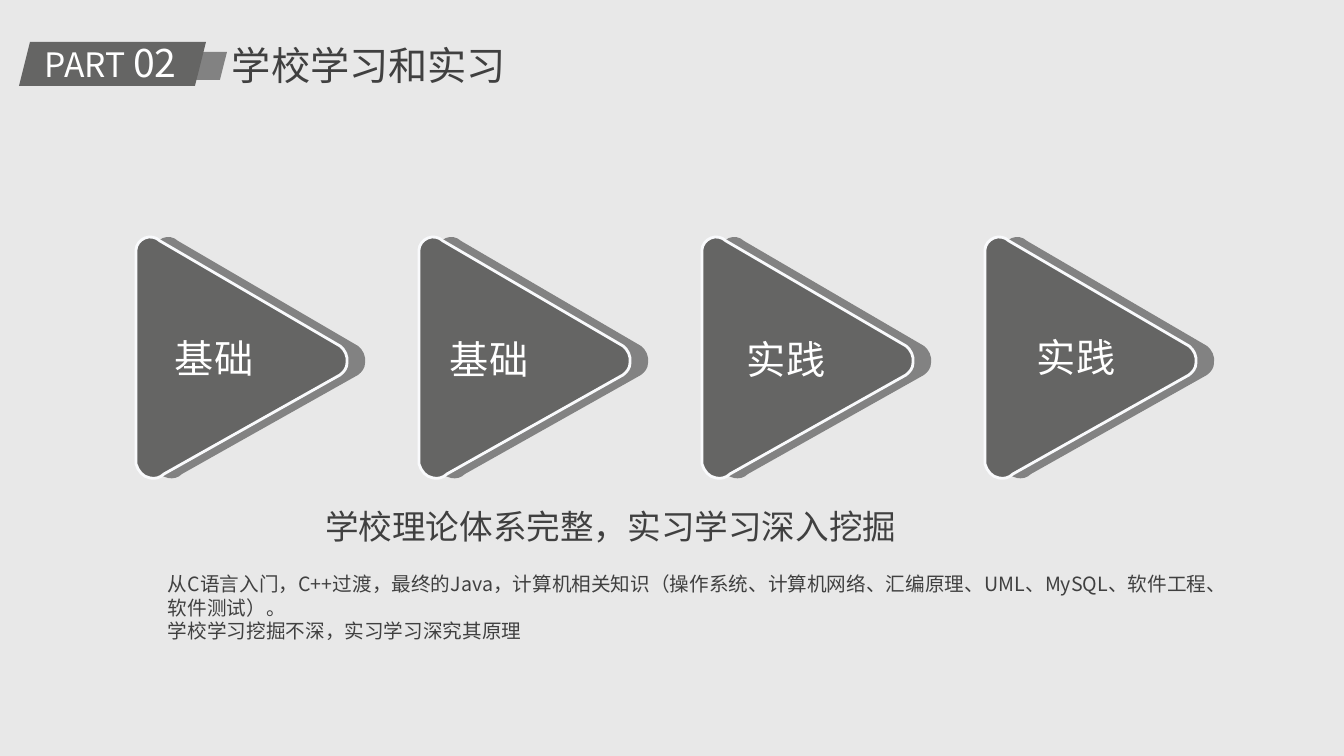
from dataclasses import dataclass

from lxml import etree
from pptx import Presentation
from pptx.dml.color import RGBColor
from pptx.enum.shapes import MSO_SHAPE
from pptx.enum.text import MSO_ANCHOR, MSO_AUTO_SIZE, PP_ALIGN
from pptx.oxml.ns import qn
from pptx.shapes.autoshape import Shape
from pptx.slide import Slide
from pptx.text.text import Font
from pptx.util import Pt

EMU_PER_PX = 914400 / 100.8
PARALLELOGRAM = MSO_SHAPE.PARALLELOGRAM
TOP, MIDDLE = MSO_ANCHOR.TOP, MSO_ANCHOR.MIDDLE
LEFT = PP_ALIGN.LEFT
NO_AUTOFIT = MSO_AUTO_SIZE.NONE

BACKGROUND = RGBColor(0xE8, 0xE8, 0xE8)
DARK_GRAY = RGBColor(0x65, 0x65, 0x64)
MID_GRAY = RGBColor(0x82, 0x82, 0x82)
TEXT_GRAY = RGBColor(0x40, 0x40, 0x40)
OUTLINE = RGBColor(0xF9, 0xFA, 0xFC)
WHITE = RGBColor(0xFF, 0xFF, 0xFF)
SANS = "Noto Sans CJK SC"
LABEL_FONT = "Roboto"

ARROW_LEFT, ARROW_TOP, ARROW_PITCH, SHADOW_OFFSET = 136, 237, 283, 18
ARROW_START = (0, 13)
ARROW_SEGMENTS = (
    ((0, 227),),
    ((2, 234), (7, 240), (14, 241)),
    ((19, 242), (24, 241), (28, 237)),
    ((204, 138),),
    ((208, 135), (211, 131), (211, 126)),
    ((212, 119), (209, 113), (204, 109)),
    ((24, 4),),
    ((20, 0), (14, -1), (9, 1)),
    ((4, 3), (0, 8), (0, 13)),
)


@dataclass(frozen=True)
class Box:
    left: int
    top: int
    width: int
    height: int

    def emu(self) -> tuple[int, ...]:
        return tuple(map(px, (self.left, self.top, self.width, self.height)))


@dataclass(frozen=True)
class TextStyle:
    size: int
    color: RGBColor
    typeface: str = SANS
    anchor: MSO_ANCHOR = TOP
    inset: tuple[int, int] = (10, 5)


@dataclass(frozen=True)
class Step:
    label: str
    label_left: int
    label_top: int


TITLE = TextStyle(28, TEXT_GRAY)
PART = TextStyle(24, WHITE)
SUMMARY = TextStyle(24, TEXT_GRAY)
DETAIL = TextStyle(14, TEXT_GRAY, inset=(0, 0))
STEP_LABEL = TextStyle(28, WHITE, LABEL_FONT, MIDDLE, (0, 0))

STEPS = (
    Step("基础", 175, 334),
    Step("基础", 450, 335),
    Step("实践", 747, 335),
    Step("实践", 1037, 333),
)
DETAILS = (
    "从C语言入门，C++过渡，最终的Java，计算机相关知识（操作系统、计算机网络、汇编原理、"
    "UML、MySQL、软件工程、软件测试）。\v学校学习挖掘不深，实习学习深究其原理"
)


def px(length: int) -> int:
    return round(length * EMU_PER_PX)


def paint(shape: Shape, fill: RGBColor, outlined: bool = False) -> None:
    shape.shadow.inherit = False
    shape.fill.solid()
    shape.fill.fore_color.rgb = fill
    if outlined:
        shape.line.color.rgb = OUTLINE
        shape.line.width = Pt(2)
    else:
        shape.line.fill.background()


def add_arrow(slide: Slide, left: int, fill: RGBColor, outlined: bool = False) -> None:
    corners = [segment[-1] for segment in ARROW_SEGMENTS]
    builder = slide.shapes.build_freeform(*ARROW_START, scale=EMU_PER_PX)
    builder.add_line_segments(corners, close=True)
    arrow = builder.convert_to_shape(px(left), px(ARROW_TOP))
    origin_x, origin_y = (min(values) for values in zip(*corners))
    lines = list(arrow._element.iter(qn("a:lnTo")))
    for line, segment in zip(lines, ARROW_SEGMENTS):
        if len(segment) == 1:
            continue
        curve = etree.Element(qn("a:cubicBezTo"))
        for x, y in segment:
            point = etree.SubElement(curve, qn("a:pt"))
            point.set("x", str(x - origin_x))
            point.set("y", str(y - origin_y))
        line.getparent().replace(line, curve)
    paint(arrow, fill, outlined)


def style_font(font: Font, style: TextStyle) -> None:
    font.size = Pt(style.size)
    font.bold = False
    font.color.rgb = style.color
    font.name = style.typeface


def write_text(shape: Shape, box: Box, text: str, style: TextStyle) -> None:
    shape.left, shape.top, shape.width, shape.height = box.emu()
    frame = shape.text_frame
    frame.text = text
    frame.word_wrap = True
    frame.auto_size = NO_AUTOFIT
    frame.vertical_anchor = style.anchor
    frame.margin_left = frame.margin_right = px(style.inset[0])
    frame.margin_top = frame.margin_bottom = px(style.inset[1])
    paragraph = frame.paragraphs[0]
    paragraph.alignment = LEFT
    style_font(paragraph.font, style)
    defaults = paragraph._p.pPr.find(qn("a:defRPr"))
    etree.SubElement(defaults, qn("a:ea")).set("typeface", style.typeface)


def add_text(slide: Slide, box: Box, text: str, style: TextStyle) -> Shape:
    shape = slide.shapes.add_textbox(*box.emu())
    write_text(shape, box, text, style)
    return shape


def add_header(slide: Slide) -> None:
    for box, fill in ((Box(172, 52, 55, 28), MID_GRAY), (Box(19, 42, 187, 44), DARK_GRAY)):
        paint(slide.shapes.add_shape(PARALLELOGRAM, *box.emu()), fill)
    part = add_text(slide, Box(35, 33, 155, 57), "PART ", PART)
    number = part.text_frame.paragraphs[0].add_run()
    number.text = "02"
    number.font.size = Pt(28)
    write_text(slide.shapes.title, Box(222, 36, 385, 57), "学校学习和实习", TITLE)


def main() -> None:
    presentation = Presentation()
    presentation.slide_width, presentation.slide_height = px(1344), px(756)
    slide = presentation.slides.add_slide(presentation.slide_layouts.get_by_name("Title Only"))
    slide.background.fill.solid()
    slide.background.fill.fore_color.rgb = BACKGROUND

    add_header(slide)
    for index, step in enumerate(STEPS):
        left = ARROW_LEFT + index * ARROW_PITCH
        add_arrow(slide, left + SHADOW_OFFSET, MID_GRAY)
        add_arrow(slide, left, DARK_GRAY, outlined=True)
        add_text(slide, Box(step.label_left, step.label_top, 95, 47), step.label, STEP_LABEL)
    add_text(slide, Box(315, 501, 912, 50), "学校理论体系完整，实习学习深入挖掘", SUMMARY)
    add_text(slide, Box(168, 572, 1068, 99), DETAILS, DETAIL)
    presentation.save("out.pptx")


if __name__ == "__main__":
    main()
